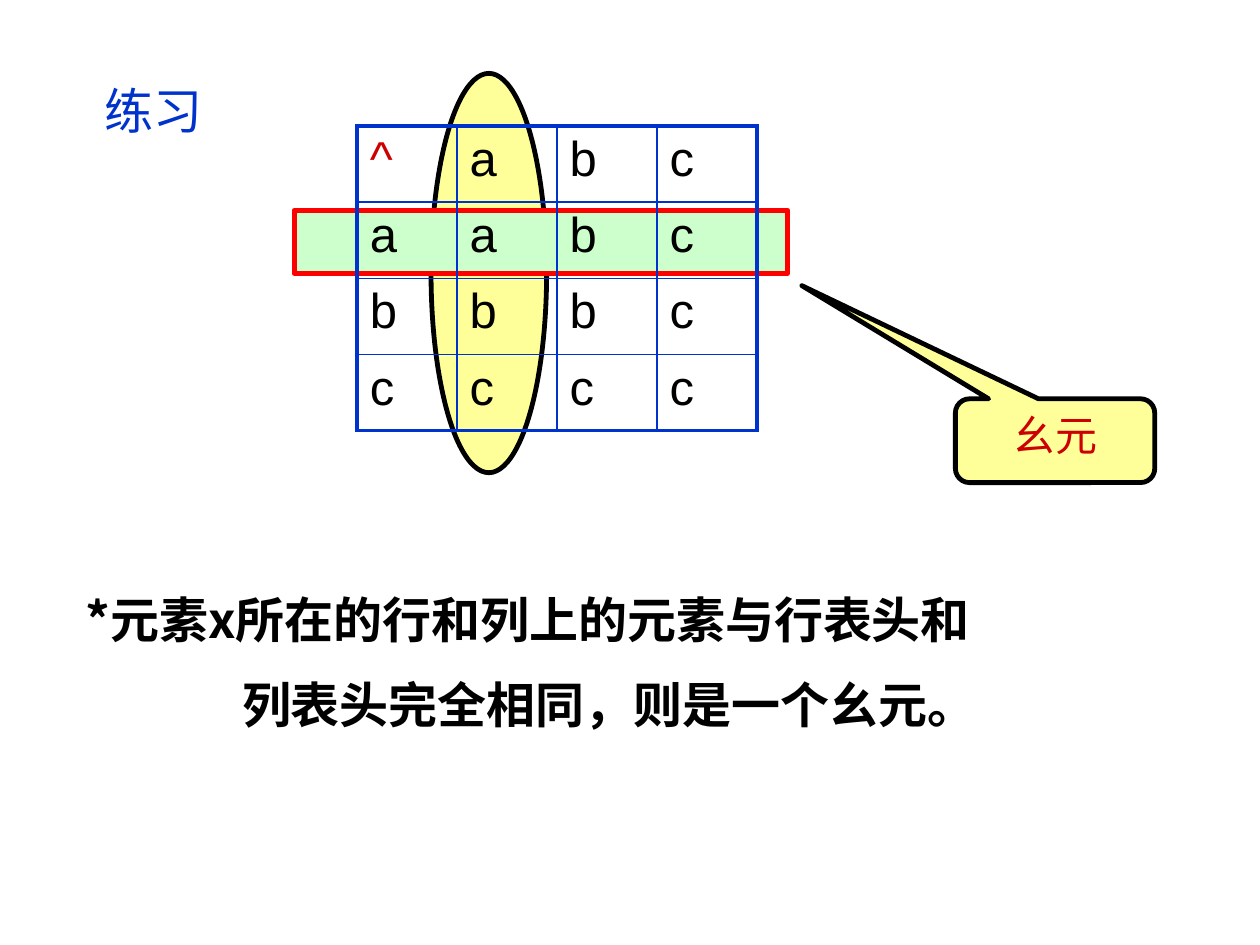
from dataclasses import dataclass

from lxml.etree import SubElement
from pptx import Presentation
from pptx.dml.color import RGBColor as RGB
from pptx.enum.shapes import MSO_SHAPE as Shape
from pptx.enum.text import MSO_ANCHOR as Anchor, MSO_AUTO_SIZE as AutoSize, PP_ALIGN as Align
from pptx.oxml.ns import qn
from pptx.util import Cm, Pt


@dataclass(frozen=True)
class Theme:
    """Colours, fonts and sizes of the slide."""
    blue: str = "0033CC"
    red: str = "CC0000"
    frame: str = "FF0000"
    black: str = "000000"
    yellow: str = "FFFF99"
    green: str = "CCFFCC"
    font: str = "Arial"
    cjk: str = "Noto Sans CJK JP"
    large: int = 28
    medium: int = 24
    outline: float = 2.75
    outer: float = 2.25
    inner: float = 1


T = Theme()


def write(p, text, color=T.black, size=T.large, font=T.font, bold=False, align=Align.LEFT):
    """Add one formatted run to a paragraph."""
    p.alignment = align
    r = p.add_run()
    r.text = text
    r.font.name, r.font.size, r.font.bold = font, Pt(size), bold
    r.font.color.rgb = RGB.from_string(color)
    if font == T.cjk:
        SubElement(r._r.get_or_add_rPr(), qn("a:ea"), typeface=font)


def add_outlined(s, kind, box, fill, line=T.black):
    """Add a filled preset shape with a heavy outline."""
    sp = s.shapes.add_shape(kind, *map(Cm, box))
    sp.shadow.inherit = False
    sp.fill.solid()
    sp.fill.fore_color.rgb = RGB.from_string(fill)
    sp.line.color.rgb = RGB.from_string(line)
    sp.line.width = Pt(T.outline)
    return sp


def set_borders(cell, widths):
    """Draw the left, right, top and bottom borders of a cell."""
    tcPr = cell._tc.get_or_add_tcPr()
    for side, width in zip("LRTB", widths):
        ln = SubElement(tcPr, qn(f"a:ln{side}"), w=str(Pt(width)))
        SubElement(SubElement(ln, qn("a:solidFill")), qn("a:srgbClr"), val=T.blue)


def add_title(s, box, text):
    """Place the title placeholder in the box."""
    sp = s.shapes.title
    sp.left, sp.top, sp.width, sp.height = map(Cm, box)
    tf = sp.text_frame
    tf.word_wrap = False
    tf.auto_size = AutoSize.SHAPE_TO_FIT_TEXT
    tf.vertical_anchor = Anchor.TOP
    write(tf.paragraphs[0], text, color=T.blue)


def add_operation_table(s, box, rows):
    """Place the operation table with its highlighted column and row."""
    x, y, w, h = box
    add_outlined(s, Shape.OVAL, (x + 1.49, y - 1.06, 2.33, 8.05), T.yellow)
    add_outlined(s, Shape.RECTANGLE, (x - 1.27, y + 1.7, 9.95, 1.27), T.green, T.frame)
    last_row, last_col = len(rows) - 1, len(rows[0]) - 1
    table = s.shapes.add_table(len(rows), len(rows[0]), *map(Cm, box)).table
    table.first_row = table.horz_banding = False
    for i, row in enumerate(rows):
        for j, text in enumerate(row):
            cell = table.cell(i, j)
            edges = (j == 0, j == last_col, i == 0, i == last_row)
            set_borders(cell, [T.outer if edge else T.inner for edge in edges])
            cell.fill.background()
            write(cell.text_frame.paragraphs[0], text, color=T.red if text == "^" else T.black)


def add_callout(s, box, text):
    """Place the callout that names the highlighted element."""
    sp = add_outlined(s, Shape.ROUNDED_RECTANGULAR_CALLOUT, box, T.yellow)
    for i, value in enumerate((-1.27, -1.85, 0.17)):
        sp.adjustments[i] = value
    sp.text_frame.vertical_anchor = Anchor.TOP
    write(sp.text_frame.paragraphs[0], text, color=T.red, size=T.medium, align=Align.CENTER)


def add_note(s, box, lines):
    """Place the rule, given as pairs of text and indent."""
    tf = s.shapes.add_textbox(*map(Cm, box)).text_frame
    tf.word_wrap = True
    tf.auto_size = AutoSize.SHAPE_TO_FIT_TEXT
    for i, (text, indent) in enumerate(lines):
        p = tf.add_paragraph() if i else tf.paragraphs[0]
        p.line_spacing = 1.45
        p._p.get_or_add_pPr().set("indent", str(Cm(indent)))
        write(p, text, font=T.cjk, bold=True)


def main():
    """Build the slide and save it."""
    prs = Presentation()
    prs.slide_width, prs.slide_height = Cm(25.4), Cm(19.05)
    s = prs.slides.add_slide(prs.slide_layouts[5])
    add_title(s, (1.85, 1.5, 2.49, 1.45), "练习")
    add_operation_table(s, (7.2, 2.54, 8.06, 6.14), ("^abc", "aabc", "bbbc", "cccc"))
    add_callout(s, (19.26, 8.04, 4.02, 1.69), "幺元")
    add_note(s, (1.48, 11.22, 22.86, 3.68), (
        ("*元素x所在的行和列上的元素与行表头和", 0),
        ("列表头完全相同，则是一个幺元。", 3.15),
    ))
    prs.save("out.pptx")


if __name__ == "__main__":
    main()
